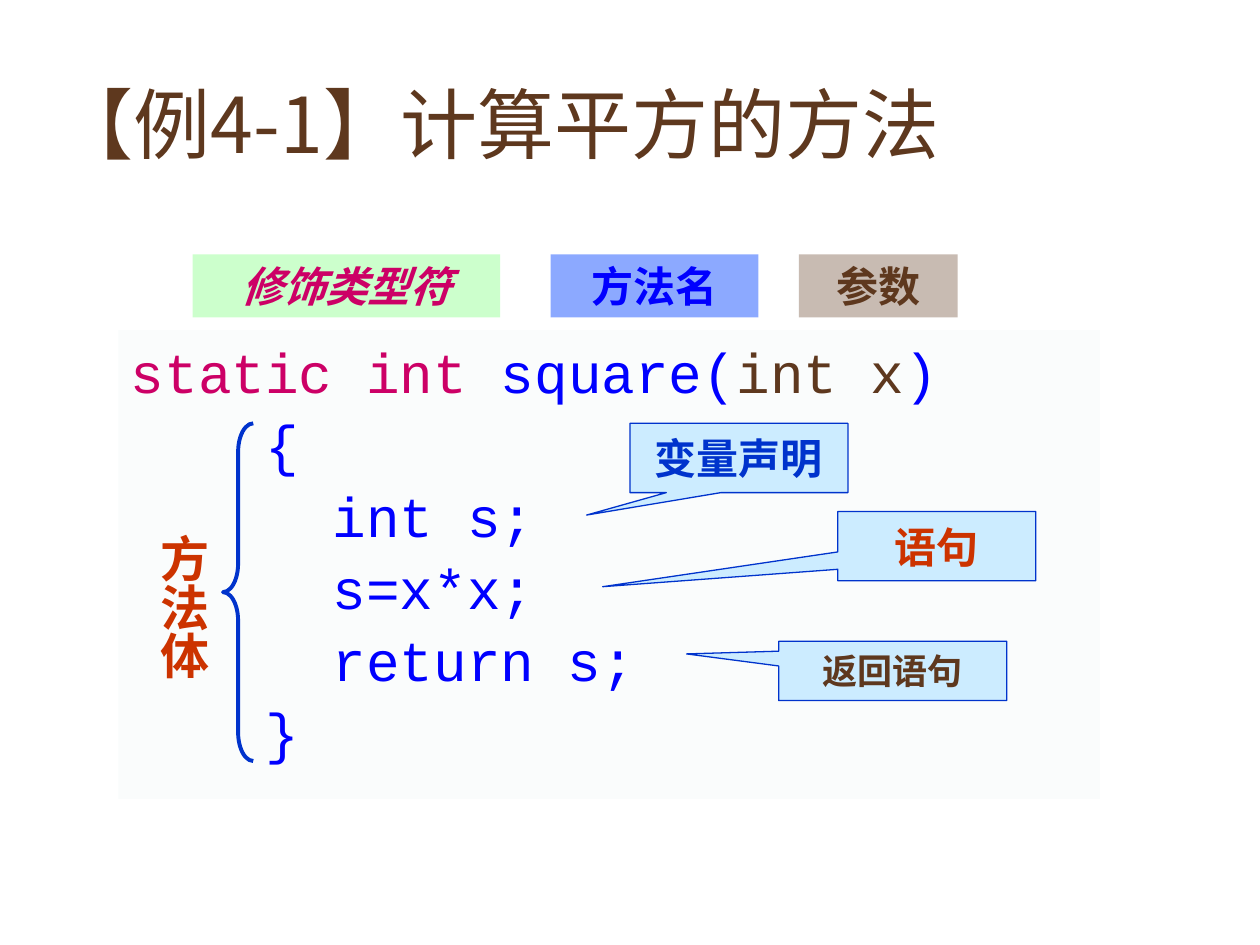
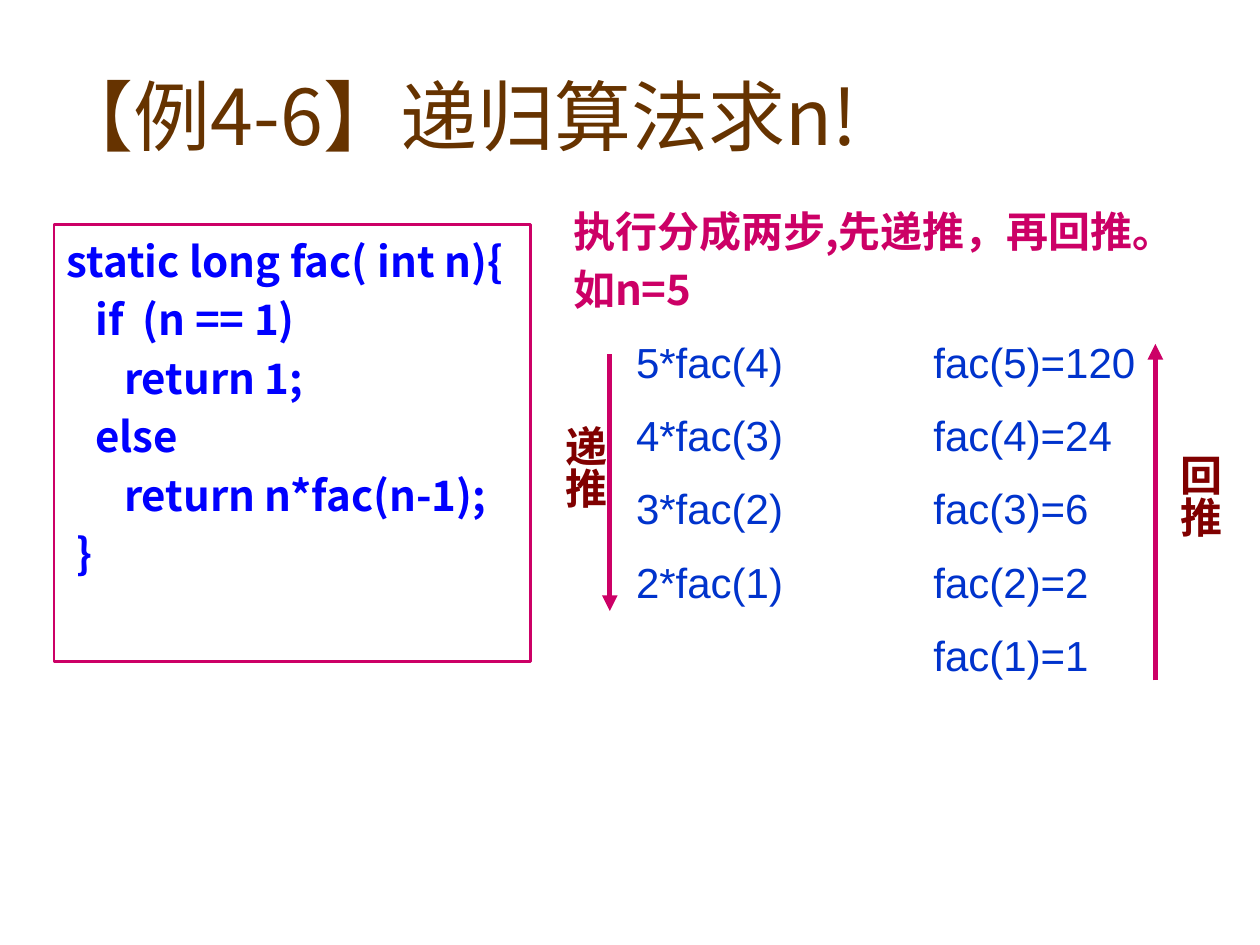
from pptx import Presentation
from pptx.dml.color import RGBColor
from pptx.enum import shapes, text
from pptx.oxml import ns, xmlchemy
from pptx.util import Inches, Pt

CJK = "Noto Sans CJK SC"
BLUE, NAVY, MAGENTA = "0000FF", "0033CC", "CC0066"
BROWN, RED, MAROON, SKY = "5E381E", "CC3300", "800000", "CCECFF"
RECT = shapes.MSO_SHAPE.RECTANGLE
CALLOUT = shapes.MSO_SHAPE.RECTANGULAR_CALLOUT


def rgb(color):
    """Turn a hex string into a colour."""
    return RGBColor.from_string(color)


def child(parent, tag, **attributes):
    """Append an XML element with attributes to a parent."""
    element = xmlchemy.OxmlElement(tag)
    for key, value in attributes.items():
        element.set(key, str(value))
    parent.append(element)
    return element


def add_run(paragraph, words, size, color, font="Arial", bold=False, italic=False):
    """Add one formatted run."""
    run = paragraph.add_run()
    run.text = words
    run.font.size = Pt(size)
    run.font.name = font
    run.font.bold = bold
    run.font.italic = italic
    run.font.color.rgb = rgb(color)
    child(run.font._element, "a:ea", typeface=CJK)


def add_title(slide, words, box, color):
    """Place and format the slide title."""
    title = slide.shapes.title
    title.left, title.top, title.width, title.height = map(Inches, box)
    frame = title.text_frame
    frame.vertical_anchor = text.MSO_ANCHOR.MIDDLE
    frame.paragraphs[0].alignment = text.PP_ALIGN.LEFT
    add_run(frame.paragraphs[0], words, 44, color, CJK)


def add_panel(parent, kind, box, fill=None, line=None, weight=0.75, alpha=None, adjust=()):
    """Add a preset shape with its fill, outline and adjustments."""
    panel = parent.add_shape(kind, *map(Inches, box))
    panel.shadow.inherit = False
    if fill:
        panel.fill.solid()
        panel.fill.fore_color.rgb = rgb(fill)
        if alpha:
            color = panel.fill._xPr.find(".//" + ns.qn("a:srgbClr"))
            child(color, "a:alpha", val=alpha * 1000)
    else:
        panel.fill.background()
    if line:
        panel.line.color.rgb = rgb(line)
        panel.line.width = Pt(weight)
    else:
        panel.line.fill.background()
    for index, value in enumerate(adjust):
        panel.adjustments[index] = value
    return panel


def add_label(panel, words, color, size=24, italic=False):
    """Write a centred bold label in a shape."""
    frame = panel.text_frame
    frame.word_wrap = True
    frame.vertical_anchor = text.MSO_ANCHOR.MIDDLE
    frame.margin_top = frame.margin_bottom = 0
    frame.paragraphs[0].alignment = text.PP_ALIGN.CENTER
    add_run(frame.paragraphs[0], words, size, color, bold=True, italic=italic)


def add_vertical(parent, words, box, color, size=24):
    """Add a text box whose characters run downwards."""
    frame = parent.add_textbox(*map(Inches, box)).text_frame
    frame.word_wrap = True
    frame._txBody.bodyPr.set("vert", "eaVert")
    add_run(frame.paragraphs[0], words, size, color, bold=True)


def next_paragraph(frame, before, line=None, indent=0):
    """Start a left-aligned paragraph with its spacing and indent."""
    first = not frame.paragraphs[0].runs
    paragraph = frame.paragraphs[0] if first else frame.add_paragraph()
    paragraph.alignment = text.PP_ALIGN.LEFT
    paragraph.space_before = Pt(0 if first else before)
    if line:
        paragraph.line_spacing = Pt(line)
    if indent:
        paragraph._p.get_or_add_pPr().set("marL", str(Inches(indent)))
    return paragraph


def add_code(panel, rows, step, before, line, top, **style):
    """Write code rows, each a pair of indent level and (words, colour) runs."""
    frame = panel.text_frame
    frame.word_wrap = True
    frame.vertical_anchor = text.MSO_ANCHOR.TOP
    frame.margin_top = Inches(top)
    for level, parts in rows:
        paragraph = next_paragraph(frame, before, line, level * step)
        for words, color in parts:
            add_run(paragraph, words, color=color, **style)


def add_arrow(slide, x, start, end):
    """Add a vertical arrow."""
    arrow = slide.shapes.add_connector(
        shapes.MSO_CONNECTOR.STRAIGHT, Inches(x), Inches(start), Inches(x), Inches(end))
    arrow.line.color.rgb = rgb(MAGENTA)
    arrow.line.width = Pt(3)
    child(arrow.line._get_or_add_ln(), "a:tailEnd", type="triangle")
    child(arrow._element.spPr, "a:effectLst")


def add_steps(slide, box, notes, steps):
    """Add the explanation above two tabbed columns of calls and results."""
    frame = slide.shapes.add_textbox(*map(Inches, box)).text_frame
    frame.word_wrap = True
    for note in notes:
        add_run(next_paragraph(frame, 6.3, 26.3), note, 24, MAGENTA, CJK, bold=True)
    for call, result in steps:
        paragraph = next_paragraph(frame, 13.1)
        tabs = child(paragraph._p.get_or_add_pPr(), "a:tabLst")
        for stop in (0.5, 2.86):
            child(tabs, "a:tab", pos=Inches(stop), algn="l")
        add_run(paragraph, f"\t{call}\t{result}", 24, NAVY)


def build_square(slide):
    """Build the slide on the parts of a method."""
    add_title(slide, "【例4-1】计算平方的方法", (0.35, 0.44, 8.01, 1.06), BROWN)
    signature = [("static int", MAGENTA), (" square(", BLUE), ("int x", BROWN), (")", BLUE)]
    body = [(4, "{"), (6, "int s;"), (6, "s=x*x;"), (6, "return s;"), (4, "}")]
    rows = [(0, signature)] + [(level, [(words, BLUE)]) for level, words in body]
    code = add_panel(slide.shapes, RECT, (0.94, 2.62, 7.79, 3.72), "FAFCFC")
    add_code(code, rows, 0.267, 8.5, 32.6, 0.14, size=32, font="Courier New")

    for words, left, width, fill, alpha, color, italic in (
            ("修饰类型符", 1.53, 2.44, "CCFFCC", None, MAGENTA, True),
            ("方法名", 4.37, 1.65, "3366FF", 56, BLUE, False),
            ("参数", 6.34, 1.26, BROWN, 34, BROWN, False)):
        part = add_panel(slide.shapes, RECT, (left, 2.02, width, 0.5), fill, alpha=alpha)
        add_label(part, words, color, italic=italic)

    method_body = slide.shapes.add_group_shape().shapes
    add_panel(method_body, shapes.MSO_SHAPE.LEFT_BRACE, (1.77, 3.36, 0.24, 2.68),
              line=NAVY, weight=2.25, adjust=(0.945, 0.5))
    add_vertical(method_body, "方法体", (1.07, 4.14, 0.67, 1.5), RED, 28)

    for words, box, pointer, color, size in (
            ("变量声明", (5, 3.36, 1.73, 0.55), (-0.699, 0.824), NAVY, 24),
            ("语句", (6.65, 4.06, 1.57, 0.55), (-1.689, 0.585), RED, 24),
            ("返回语句", (6.18, 5.09, 1.81, 0.47), (-0.904, -0.287), BROWN, 20)):
        callout = add_panel(slide.shapes, CALLOUT, box, SKY, NAVY, adjust=pointer)
        add_label(callout, words, color, size)


def build_factorial(slide):
    """Build the slide on recursive factorial."""
    add_title(slide, "【例4-6】递归算法求n!", (0.35, 0.36, 7.4, 1.1), "663300")
    lines = [(0, "static long fac( int n){"), (3, "if  (n == 1)"), (6, "return 1;"),
             (3, "else"), (6, "return n*fac(n-1);"), (1, "}")]
    rows = [(level, [(words, BLUE)]) for level, words in lines]
    code = add_panel(slide.shapes, RECT, (0.43, 1.78, 3.78, 3.47), line=MAGENTA, weight=1.5)
    add_code(code, rows, 0.076, 5, 28.5, 0.09, size=24, font="Noto Sans CJK KR", bold=True)

    calls = [f"{n}*fac({n - 1})" for n in range(5, 1, -1)] + [""]
    results = [f"fac({n})={value}" for n, value in zip(range(5, 0, -1), (120, 24, 6, 2, 1))]
    add_steps(slide, (4.45, 1.62, 5.04, 3.91),
              ("执行分成两步,先递推，再回推。", "如n=5"), zip(calls, results))
    add_arrow(slide, 4.84, 2.81, 4.85)
    add_vertical(slide.shapes, "回推", (9.17, 3.51, 0.6, 1.02), MAROON)
    add_arrow(slide, 9.17, 5.4, 2.73)
    add_vertical(slide.shapes, "递推", (4.29, 3.28, 0.6, 0.95), MAROON)


def main():
    """Build and save both slides."""
    deck = Presentation()
    deck.slide_width, deck.slide_height = Inches(10), Inches(7.5)
    for build in (build_square, build_factorial):
        build(deck.slides.add_slide(deck.slide_layouts[5]))
    deck.save("out.pptx")


if __name__ == "__main__":
    main()
